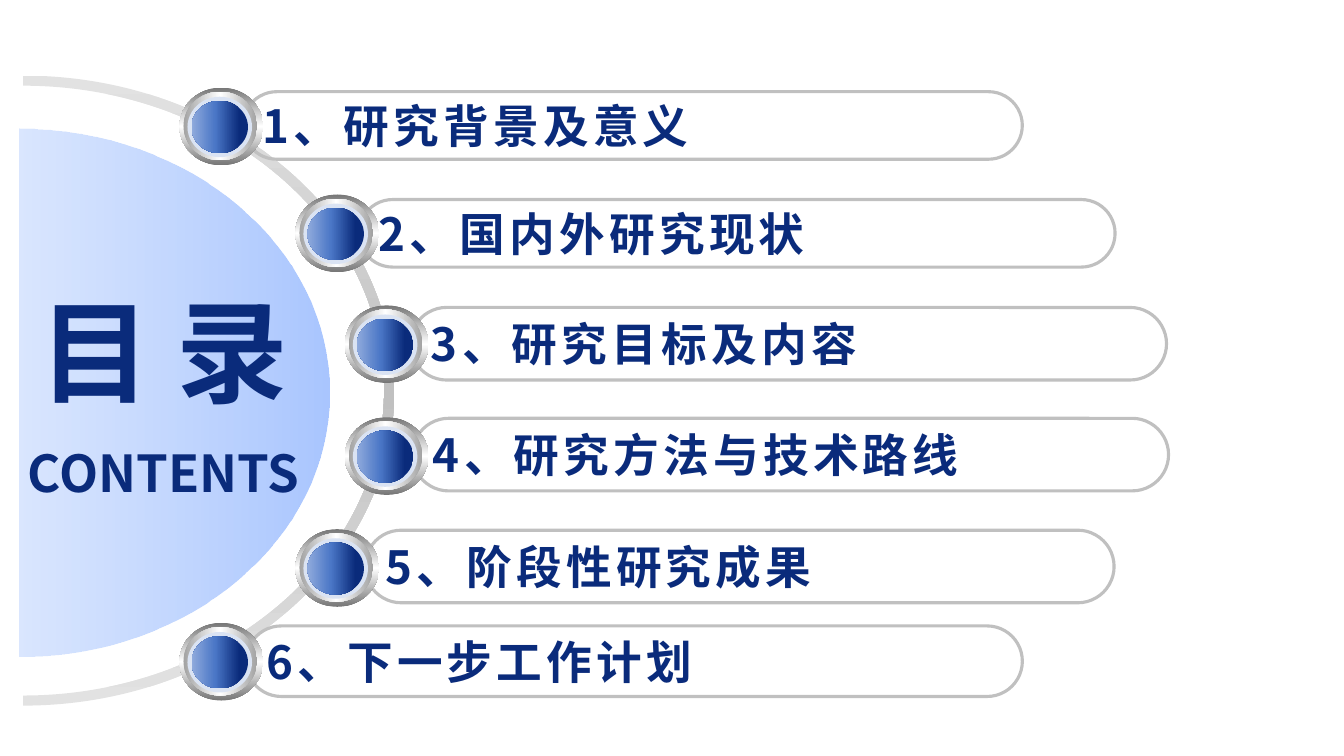
from dataclasses import dataclass

from lxml.etree import SubElement
from pptx import Presentation
from pptx.dml.color import RGBColor
from pptx.enum.shapes import MSO_SHAPE as Shape
from pptx.enum.text import MSO_ANCHOR as Anchor, MSO_AUTO_SIZE as AutoSize, PP_ALIGN as Align
from pptx.oxml.ns import qn
from pptx.util import Pt

PX = 9144
KAPPA = 0.55


@dataclass(frozen=True)
class Theme:
    font: str = "Noto Sans CJK SC"
    navy: str = "0A2B7B"
    outline: str = "C0C0C0"
    halo: str = "DAE3F3"
    arc: tuple = ((0, "E2E2E2", 100), (50, "C0C0C0", 100), (100, "E2E2E2", 100))
    disc: tuple = ((0, "6699FF", 56), (100, "FFFFFF", 48))
    rim: tuple = ((0, "767676", 100), (50, "FFFFFF", 100), (100, "767676", 100))
    bevel: tuple = ((0, "A2A2A2", 100), (50, "FFFFFF", 100), (100, "A2A2A2", 100))
    core: tuple = ((15, "0A2B7B", 100), (58, "4A76C6", 100), (100, "8FAADC", 100))
    title_size: float = 79.8
    subtitle_size: float = 36.3
    item_size: float = 32.6
    item_spacing: int = 3
    outline_width: float = 2.25


THEME = Theme()
RIGHTWARD, DOWNWARD, LEFTWARD = 0, 90, 180

MEDAL_LAYERS = [
    ((0, 0, 83, 77), THEME.rim, DOWNWARD),
    ((4, 4, 73, 68), THEME.bevel, RIGHTWARD),
    ((8, 9, 64, 60), THEME.halo, None),
    ((12, 13, 56, 52), THEME.core, LEFTWARD),
]

AGENDA = [
    ("1、研究背景及意义", (178, 87), (241, 91, 773, 67)),
    ("2、国内外研究现状", (293, 193), (356, 198, 750, 67)),
    ("3、研究目标及内容", (342, 303), (407, 305, 750, 72)),
    ("4、研究方法与技术路线", (342, 414), (409, 415, 750, 72)),
    ("5、阶段性研究成果", (293, 525), (362, 526, 743, 72)),
    ("6、下一步工作计划", (178, 618), (244, 621, 770, 70)),
]


def emu(*lengths):
    return [round(length * PX) for length in lengths]


def paint(shape, fill, angle=None):
    shape.shadow.inherit = False
    shape.line.fill.background()
    if angle is None:
        shape.fill.solid()
        shape.fill.fore_color.rgb = RGBColor.from_string(fill)
        return
    shape.fill.gradient()
    gradient = shape.element.spPr.find(qn("a:gradFill"))
    stops = gradient.find(qn("a:gsLst"))
    stops.clear()
    for position, color, opacity in fill:
        stop = SubElement(stops, qn("a:gs"), pos=str(position * 1000))
        tint = SubElement(stop, qn("a:srgbClr"), val=color)
        if opacity < 100:
            SubElement(tint, qn("a:alpha"), val=str(opacity * 1000))
    gradient.find(qn("a:lin")).set("ang", str(angle * 60000))


def write(frame, text, size, align, spacing=0):
    paragraph = frame.paragraphs[0]
    paragraph.alignment = align
    run = paragraph.add_run()
    run.text = text
    run.font.name = THEME.font
    run.font.size = Pt(size)
    run.font.bold = True
    run.font.color.rgb = RGBColor.from_string(THEME.navy)
    properties = run.font._element
    SubElement(properties, qn("a:ea"), typeface=THEME.font)
    if spacing:
        properties.set("spc", str(spacing * 100))


def half_ellipse(left, top, right, bottom):
    middle = (top + bottom) / 2
    reach, rise = KAPPA * (right - left), KAPPA * (bottom - top) / 2
    return [
        (left, top), (left + reach, top), (right, middle - rise), (right, middle),
        (right, middle + rise), (left + reach, bottom), (left, bottom),
    ]


def add_turned_outline(slide, box, curves, fill, angle):
    left, top, width, height = box
    builder = slide.shapes.build_freeform(0, 0, scale=PX)
    builder.add_line_segments([(height, 0), (height, width)], close=True)
    outline = builder.convert_to_shape()
    outline.left, outline.top, outline.width, outline.height = emu(
        left + (width - height) / 2, top + (height - width) / 2, height, width)
    outline.rotation = 90

    track = outline.element.spPr.find(".//" + qn("a:path"))
    track.clear()
    for side, length in zip("wh", emu(height, width)):
        track.set(side, str(length))

    def add_step(kind, points):
        step = SubElement(track, qn("a:" + kind))
        for x, y in points:
            across, down = emu(y - top, left + width - x)
            SubElement(step, qn("a:pt"), x=str(across), y=str(down))

    for index, curve in enumerate(curves):
        add_step("lnTo" if index else "moveTo", curve[:1])
        add_step("cubicBezTo", curve[1:4])
        add_step("cubicBezTo", curve[4:])
    add_step("close", [])
    paint(outline, fill, angle)


def add_arc(slide, left, top, width, height, thickness, cut):
    right, bottom = left + width, top + height
    inner = half_ellipse(cut, top + thickness, right - thickness, bottom - thickness)
    outer = half_ellipse(cut, top, right, bottom)
    add_turned_outline(slide, (left, top, width, height), [inner, outer[::-1]],
                       THEME.arc, RIGHTWARD)


def add_heading(slide, left, top, width, height, cut):
    dome = half_ellipse(cut, top, left + width, top + height)
    add_turned_outline(slide, (left, top, width, height), [dome], THEME.disc, DOWNWARD)
    for text, size, box in [
        ("CONTENTS", THEME.subtitle_size, (cut - 9, top + 305, 305, 71)),
        ("目 录", THEME.title_size, (cut + 5, top + 148, 277, 144)),
    ]:
        label = slide.shapes.add_textbox(*emu(*box))
        label.text_frame.word_wrap = False
        label.text_frame.auto_size = AutoSize.SHAPE_TO_FIT_TEXT
        write(label.text_frame, text, size, Align.CENTER)


def add_pill(slide, text, left, top, width, height):
    pill = slide.shapes.add_shape(Shape.ROUNDED_RECTANGLE, *emu(left, top, width, height))
    pill.adjustments[0] = 0.5
    pill.shadow.inherit = False
    pill.fill.background()
    pill.line.color.rgb = RGBColor.from_string(THEME.outline)
    pill.line.width = Pt(THEME.outline_width)
    pill.text_frame.word_wrap = False
    pill.text_frame.vertical_anchor = Anchor.MIDDLE
    write(pill.text_frame, text, THEME.item_size, Align.LEFT, THEME.item_spacing)


def add_medal(slide, left, top):
    for (x, y, width, height), fill, angle in MEDAL_LAYERS:
        layer = slide.shapes.add_shape(Shape.OVAL, *emu(left + x, top + y, width, height))
        paint(layer, fill, angle)


def main():
    deck = Presentation()
    deck.slide_width, deck.slide_height = emu(1333, 750)
    slide = deck.slides.add_slide(deck.slide_layouts[6])
    add_arc(slide, -356, 75, 747, 625, 10, cut=23)
    add_heading(slide, -289, 128, 616, 523, cut=19)
    for text, _, pill_box in AGENDA:
        add_pill(slide, text, *pill_box)
    for _, medal_corner, _ in AGENDA:
        add_medal(slide, *medal_corner)
    deck.save("out.pptx")


if __name__ == "__main__":
    main()
